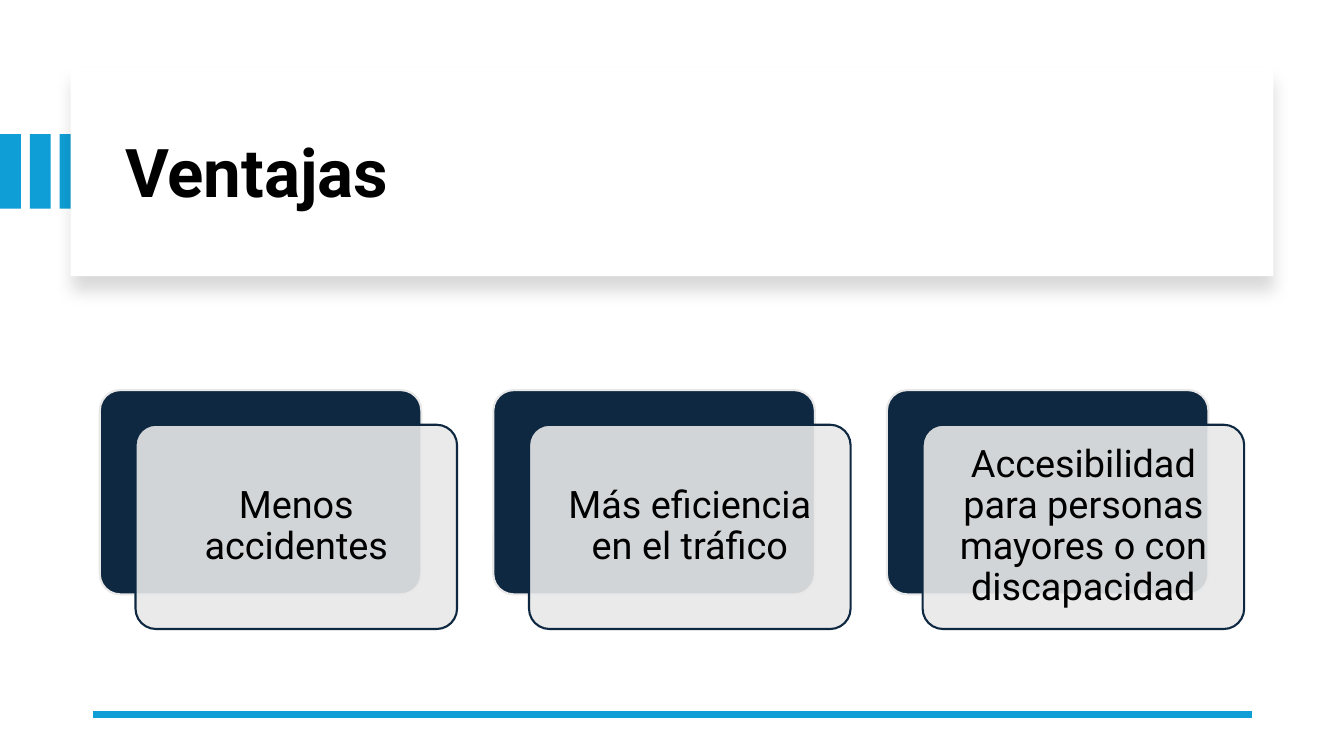
from lxml.etree import SubElement
from pptx import Presentation
from pptx.dml.color import RGBColor
from pptx.enum.shapes import MSO_CONNECTOR, MSO_SHAPE
from pptx.enum.text import MSO_ANCHOR, MSO_AUTO_SIZE, PP_ALIGN
from pptx.oxml.ns import qn
from pptx.util import Inches, Pt

WIDTH, HEIGHT = 13.33, 7.5
BLUE = RGBColor(0x0F, 0x9E, 0xD5)
NAVY = RGBColor(0x0E, 0x28, 0x41)
GREY = RGBColor(0xE8, 0xE8, 0xE8)
WHITE = RGBColor(0xFF, 0xFF, 0xFF)
BLACK = RGBColor(0, 0, 0)

ADVANTAGES = [
    "Menos accidentes",
    "Más eficiencia en el tráfico",
    "Accesibilidad para personas mayores o con discapacidad",
]
TITLE_FONT = {"name": "Roboto", "size": Pt(48), "bold": True}
CARD_FONT = {"name": "Roboto", "size": Pt(27), "bold": False}
TITLE_FRAME = {"word_wrap": True, "auto_size": MSO_AUTO_SIZE.NONE,
               "vertical_anchor": MSO_ANCHOR.MIDDLE}
CARD_FRAME = TITLE_FRAME | {f"margin_{side}": Inches(0.11)
                            for side in ("left", "top", "right", "bottom")}


def apply_format(target, values):
    for name, value in values.items():
        setattr(target, name, value)


def add_panel(slide, kind, box, fill, line=None):
    shape = slide.shapes.add_shape(kind, *map(Inches, box))
    shape.shadow.inherit = False
    shape.fill.solid()
    shape.fill.fore_color.rgb = fill
    if line is None:
        shape.line.fill.background()
    else:
        shape.line.color.rgb = line
        shape.line.width = Pt(1.5)
    return shape


def write_text(shape, text, frame_format, font_format, alignment):
    frame = shape.text_frame
    apply_format(frame, frame_format)
    paragraph = frame.paragraphs[0]
    apply_format(paragraph, {"alignment": alignment, "line_spacing": 0.9})
    run = paragraph.add_run()
    run.text = text
    apply_format(run.font, font_format)
    run.font.color.rgb = BLACK


def add_alpha(color_element, percent):
    SubElement(color_element, qn("a:alpha"), val=str(percent * 1000))


def add_soft_shadow(shape):
    effects = shape._element.spPr.find(qn("a:effectLst"))
    shadow = SubElement(effects, qn("a:outerShdw"), blurRad=str(Pt(11)),
                        dist=str(Pt(10)), dir="5400000", algn="t",
                        rotWithShape="0")
    add_alpha(SubElement(shadow, qn("a:srgbClr"), val=str(BLACK)), 15)


def add_stripes(slide, box):
    left, top, width, height = box
    stripe = width * 0.26
    pitch = (width - stripe) / 2
    for index in range(3):
        add_panel(slide, MSO_SHAPE.RECTANGLE,
                  (left + index * pitch, top, stripe, height), BLUE)


def add_banner(slide, box, text):
    left, top, width, height = box
    banner = add_panel(slide, MSO_SHAPE.RECTANGLE, box, WHITE)
    add_soft_shadow(banner)
    title = slide.shapes.title
    slide.shapes._spTree.append(title._element)
    apply_format(title, {"left": Inches(left + 0.44), "top": Inches(top + 0.22),
                         "width": Inches(width - 0.8),
                         "height": Inches(height - 0.37)})
    write_text(title, text, TITLE_FRAME, TITLE_FONT, PP_ALIGN.LEFT)


def add_rule(slide, left, right, top):
    rule = slide.shapes.add_connector(
        MSO_CONNECTOR.STRAIGHT, *map(Inches, (right, top, left, top)))
    rule.line.color.rgb = BLUE
    rule.line.width = Pt(4.5)
    SubElement(rule._element.spPr, qn("a:effectLst"))


def add_card(slide, box, text):
    left, top, width, height = box
    offset_x, offset_y = width * 0.1, height * 0.145
    size = (width - offset_x, height - offset_y)
    back = add_panel(slide, MSO_SHAPE.ROUNDED_RECTANGLE,
                     (left, top, *size), NAVY, GREY)
    front = add_panel(slide, MSO_SHAPE.ROUNDED_RECTANGLE,
                      (left + offset_x, top + offset_y, *size), GREY, NAVY)
    for shape in (back, front):
        shape.adjustments[0] = 0.1
    add_alpha(front._element.spPr.find(qn("a:solidFill"))[0], 90)
    write_text(front, text, CARD_FRAME, CARD_FONT, PP_ALIGN.CENTER)


def add_cards(slide, box, texts):
    left, top, width, height = box
    gap = 0.36
    card = (width - gap * (len(texts) - 1)) / len(texts)
    for index, text in enumerate(texts):
        add_card(slide, (left + index * (card + gap), top, card, height), text)


def build_advantages_slide(presentation):
    slide = presentation.slides.add_slide(presentation.slide_layouts[5])
    add_stripes(slide, (0, 1.33, 0.8, 0.74))
    add_banner(slide, (0.7, 0.67, 11.93, 2.07), "Ventajas")
    add_rule(slide, 0.92, 12.42, 7.09)
    add_cards(slide, (0.99, 3.87, 11.35, 2.37), ADVANTAGES)


def main():
    presentation = Presentation()
    presentation.slide_width = Inches(WIDTH)
    presentation.slide_height = Inches(HEIGHT)
    build_advantages_slide(presentation)
    presentation.save("out.pptx")


if __name__ == "__main__":
    main()
